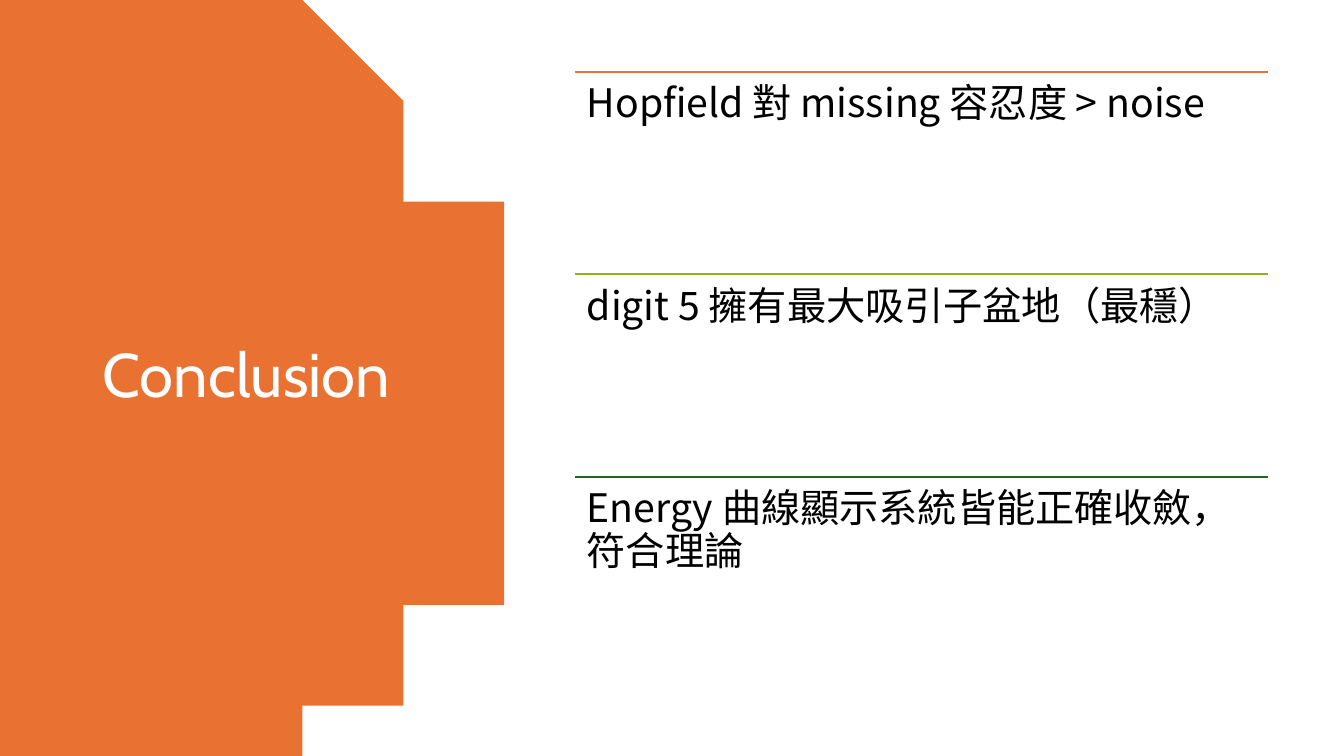
import math
from dataclasses import dataclass

import lxml.etree
import pptx
import pptx.dml.color
import pptx.enum.shapes
import pptx.enum.text
import pptx.oxml.ns
import pptx.util


@dataclass(frozen=True)
class Theme:
    orange: str = "E97132"
    lime: str = "8EB21E"
    green: str = "196B24"
    white: str = "FFFFFF"
    black: str = "000000"
    title_font: str = "Cabin"
    body_font: str = "Noto Sans CJK SC"
    title_size: int = 44
    body_size: int = 28
    rule_width: float = 1.5
    line_spacing: float = 0.9


def style_text(box, font, size, color, anchor):
    frame = box.text_frame
    frame.word_wrap = True
    frame.auto_size = pptx.enum.text.MSO_AUTO_SIZE.NONE
    frame.vertical_anchor = anchor
    for para in frame.paragraphs:
        para.alignment = pptx.enum.text.PP_ALIGN.LEFT
        para.line_spacing = theme.line_spacing
        for span in para.runs:
            span.font.name = font
            span.font.size = pptx.util.Pt(size)
            span.font.color.rgb = pptx.dml.color.RGBColor.from_string(color)
            east_asian = lxml.etree.SubElement(span.font._element, pptx.oxml.ns.qn("a:ea"))
            east_asian.set("typeface", font)


theme = Theme()
inch = pptx.util.Inches
anchors = pptx.enum.text.MSO_ANCHOR

deck = pptx.Presentation()
deck.slide_width = inch(13.33)
deck.slide_height = inch(7.5)
page = deck.slides.add_slide(deck.slide_layouts.get_by_name("Title Only"))

title = page.shapes.title
title.left, title.top, title.width, title.height = map(inch, (0.92, 0.7, 3.23, 6.09))
title.text_frame.text = "Conclusion"
style_text(title, theme.title_font, theme.title_size, theme.white, anchors.MIDDLE)

radius = 4.4
center_x, center_y = 0.53, 3.75
half_angle = math.asin(center_y / radius)
arc_steps = 120
arc = []
for step in range(arc_steps + 1):
    angle = half_angle * (2 * step / arc_steps - 1)
    arc.append((center_x + radius * math.cos(angle), center_y + radius * math.sin(angle)))

builder = page.shapes.build_freeform(0, 0, scale=inch(1))
builder.add_line_segments(arc + [(0, 2 * center_y)], close=True)
disc = builder.convert_to_shape()
disc.shadow.inherit = False
disc.fill.solid()
disc.fill.fore_color.rgb = pptx.dml.color.RGBColor.from_string(theme.orange)
disc.line.fill.background()
title._element.addprevious(disc._element)

findings = [
    ("Hopfield 對 missing 容忍度 > noise", theme.orange),
    ("digit 5 擁有最大吸引子盆地（最穩）", theme.lime),
    ("Energy 曲線顯示系統皆能正確收斂，符合理論", theme.green),
]
column_left, column_width = inch(5.7), inch(6.88)
first_row, row_height = inch(0.71), inch(2.01)
padding = inch(0.12)

for row, (finding, color) in enumerate(findings):
    top = first_row + row * row_height
    rule = page.shapes.add_connector(
        pptx.enum.shapes.MSO_CONNECTOR.STRAIGHT,
        column_left, top, column_left + column_width, top,
    )
    rule.line.color.rgb = pptx.dml.color.RGBColor.from_string(color)
    rule.line.width = pptx.util.Pt(theme.rule_width)
    lxml.etree.SubElement(rule._element.spPr, pptx.oxml.ns.qn("a:effectLst"))

    box = page.shapes.add_textbox(column_left, top, column_width, row_height)
    frame = box.text_frame
    frame.margin_left = frame.margin_right = padding
    frame.margin_top = frame.margin_bottom = padding
    frame.text = finding
    style_text(box, theme.body_font, theme.body_size, theme.black, anchors.TOP)

deck.save("out.pptx")
